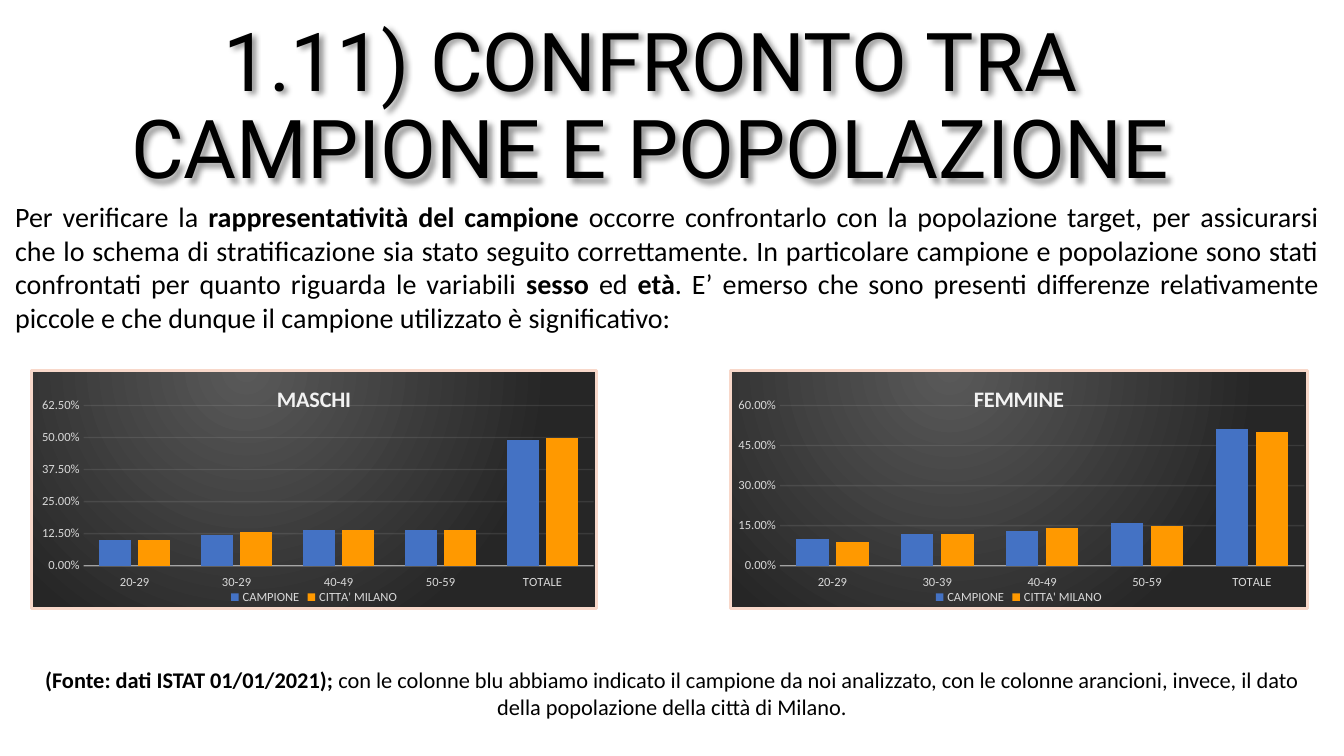
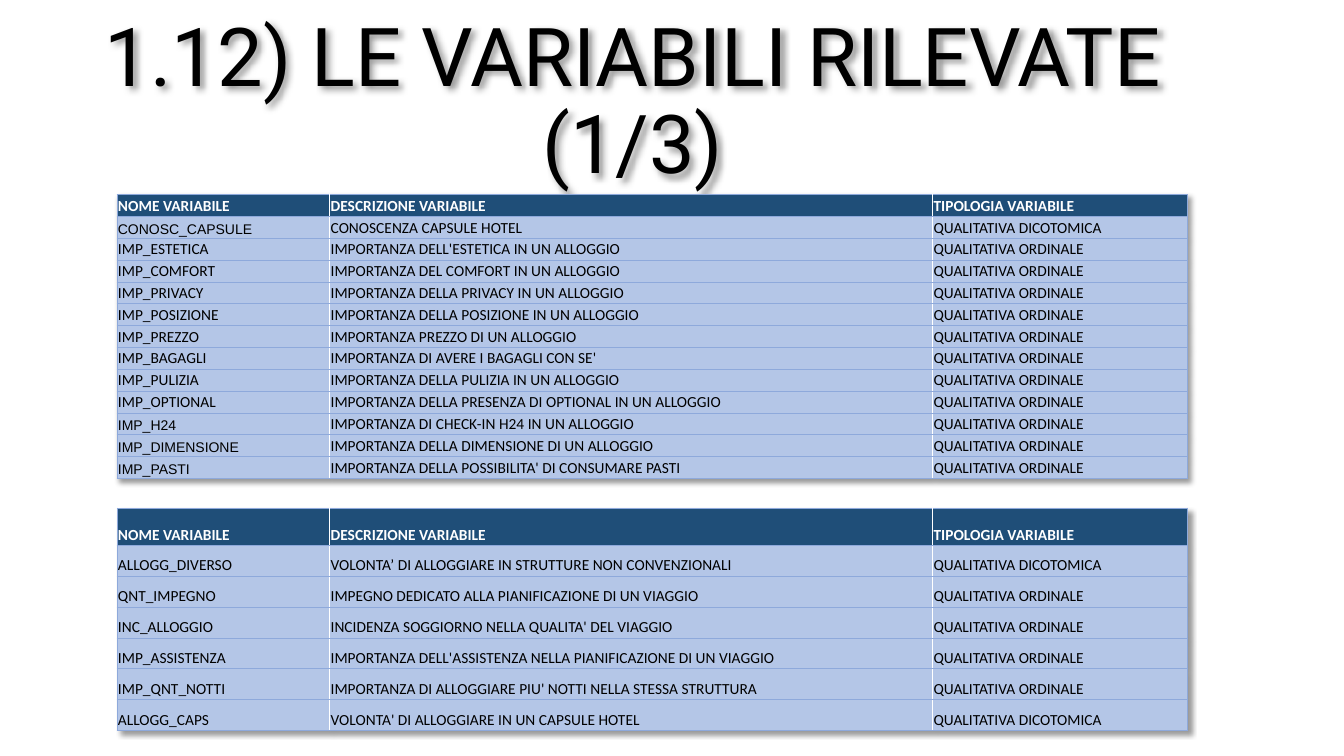
import dataclasses

import pptx
import pptx.chart.data
import pptx.dml.color
import pptx.enum.chart
import pptx.enum.text
import pptx.oxml
import pptx.oxml.ns
import pptx.util

Inches = pptx.util.Inches
Pt = pptx.util.Pt
ALIGN = pptx.enum.text.PP_ALIGN
ANCHOR = pptx.enum.text.MSO_ANCHOR
FIT = pptx.enum.text.MSO_AUTO_SIZE
TICK = pptx.enum.chart.XL_TICK_MARK


@dataclasses.dataclass(frozen=True)
class Theme:
    black: str = "000000"
    white: str = "FFFFFF"
    pale: str = "F2F2F2"
    label: str = "D9D9D9"
    glow: str = "595959"
    dark: str = "262626"
    frame: str = "F8D8CA"
    blue: str = "4472C4"
    orange: str = "FF9900"
    head: str = "1F4E78"
    cell: str = "B4C6E7"
    rule: str = "8EA9DB"
    display: str = "Roboto"
    body: str = "Calibri"
    code: str = "Arial"
    title_size: int = 58
    text_size: int = 20
    note_size: int = 16
    chart_size: int = 10
    axis_size: int = 9
    cell_size: int = 11
    code_size: int = 10


T = Theme()

# Content

TITLES = [
    ("1.11) CONFRONTO TRA CAMPIONE E POPOLAZIONE", (0.05, 0, 12.8, 2)),
    ("1.12) LE VARIABILI RILEVATE (1/3)", (0.77, 0.94, 11.01, 1.01)),
]

# Runs are (text, bold)
INTRO = [
    ("Per verificare la ", False),
    ("rappresentatività del campione ", True),
    ("occorre confrontarlo con la popolazione target, per assicurarsi che lo "
     "schema di stratificazione sia stato seguito correttamente. In particolare "
     "campione e popolazione sono stati confrontati per quanto riguarda le "
     "variabili ", False),
    ("sesso ", True),
    ("ed ", False),
    ("età", True),
    (". E’ emerso che sono presenti differenze relativamente piccole e che "
     "dunque il campione utilizzato è significativo:", False),
]
SOURCE = [
    ("(Fonte: dati ISTAT 01/01/2021); ", True),
    ("con le colonne blu abbiamo indicato il campione da noi analizzato, con le "
     "colonne arancioni, invece, il dato della popolazione della città di "
     "Milano.", False),
]

SERIES = [("CAMPIONE", T.blue), ("CITTA' MILANO", T.orange)]
CHARTS = [
    dict(title="MASCHI", box=(0.3, 3.66, 5.63, 2.39), step=0.125, top=0.625,
         plot=(0.092, 0.148, 0.903, 0.673),
         cats=["20-29", "30-29", "40-49", "50-59", "TOTALE"],
         values=[(0.1, 0.12, 0.14, 0.14, 0.49), (0.1, 0.13, 0.14, 0.14, 0.5)]),
    dict(title="FEMMINE", box=(7.23, 3.66, 5.75, 2.39), step=0.15, top=0.6,
         plot=(0.086, 0.148, 0.909, 0.673),
         cats=["20-29", "30-39", "40-49", "50-59", "TOTALE"],
         values=[(0.1, 0.12, 0.13, 0.16, 0.51), (0.09, 0.12, 0.14, 0.15, 0.5)]),
]

HEADS = ("NOME VARIABILE", "DESCRIZIONE VARIABILE", "TIPOLOGIA VARIABILE")
ORD = "QUALITATIVA ORDINALE"
DIC = "QUALITATIVA DICOTOMICA"
RATINGS = [
    ("CONOSC_CAPSULE", "CONOSCENZA CAPSULE HOTEL", DIC),
    ("IMP_ESTETICA", "IMPORTANZA DELL'ESTETICA IN UN ALLOGGIO", ORD),
    ("IMP_COMFORT", "IMPORTANZA DEL COMFORT IN UN ALLOGGIO", ORD),
    ("IMP_PRIVACY", "IMPORTANZA DELLA PRIVACY IN UN ALLOGGIO", ORD),
    ("IMP_POSIZIONE", "IMPORTANZA DELLA POSIZIONE IN UN ALLOGGIO", ORD),
    ("IMP_PREZZO", "IMPORTANZA PREZZO DI UN ALLOGGIO", ORD),
    ("IMP_BAGAGLI", "IMPORTANZA DI AVERE I BAGAGLI CON SE'", ORD),
    ("IMP_PULIZIA", "IMPORTANZA DELLA PULIZIA IN UN ALLOGGIO", ORD),
    ("IMP_OPTIONAL", "IMPORTANZA DELLA PRESENZA DI OPTIONAL IN UN ALLOGGIO", ORD),
    ("IMP_H24", "IMPORTANZA DI CHECK-IN H24 IN UN ALLOGGIO", ORD),
    ("IMP_DIMENSIONE", "IMPORTANZA DELLA DIMENSIONE DI UN ALLOGGIO", ORD),
    ("IMP_PASTI", "IMPORTANZA DELLA POSSIBILITA' DI CONSUMARE PASTI", ORD),
]
HABITS = [
    ("ALLOGG_DIVERSO", "VOLONTA’ DI ALLOGGIARE IN STRUTTURE NON CONVENZIONALI", DIC),
    ("QNT_IMPEGNO", "IMPEGNO DEDICATO ALLA PIANIFICAZIONE DI UN VIAGGIO", ORD),
    ("INC_ALLOGGIO", "INCIDENZA SOGGIORNO NELLA QUALITA' DEL VIAGGIO", ORD),
    ("IMP_ASSISTENZA",
     "IMPORTANZA DELL'ASSISTENZA NELLA PIANIFICAZIONE DI UN VIAGGIO", ORD),
    ("IMP_QNT_NOTTI",
     "IMPORTANZA DI ALLOGGIARE PIU' NOTTI NELLA STESSA STRUTTURA", ORD),
    ("ALLOGG_CAPS", "VOLONTA' DI ALLOGGIARE IN UN CAPSULE HOTEL", DIC),
]
ARIAL = {"CONOSC_CAPSULE", "IMP_H24", "IMP_DIMENSIONE", "IMP_PASTI"}
COLS = (2.11, 5.98, 2.53)
# Rows, top, total height, height of the head row
TABLES = [(RATINGS, 1.93, 2.82, 0.217), (HABITS, 5.04, 2.21, 0.37)]
TABLE_LEFT = 1.16


# Helpers

def rgb(code):
    return pptx.dml.color.RGBColor.from_string(code)


def node(text):
    """Make an XML element; the first tag gets the namespaces."""
    spot = min(i for i in (text.find(" "), text.find(">"), text.find("/>")) if i > 0)
    names = pptx.oxml.ns.nsdecls("a", "c")
    return pptx.oxml.parse_xml(f"{text[:spot]} {names}{text[spot:]}")


def paint(code):
    return f'<a:solidFill><a:srgbClr val="{code}"/></a:solidFill>'


def shade():
    return node('<a:effectLst><a:outerShdw blurRad="50800" dist="38100" '
                'dir="2700000" algn="tl" rotWithShape="0"><a:prstClr val="black">'
                '<a:alpha val="40000"/></a:prstClr></a:outerShdw></a:effectLst>')


def style(font, size, color, face=T.body, bold=False):
    font.size, font.name, font.bold = Pt(size), face, bold
    font.color.rgb = rgb(color)


def write(para, runs, size, color=T.black, face=T.body):
    for text, bold in runs:
        run = para.add_run()
        run.text = text
        style(run.font, size, color, face, bold)


def pad(frame, size):
    frame.margin_left = frame.margin_right = Inches(size)
    frame.margin_top = frame.margin_bottom = Inches(size)


def new_slide(deck, text, box):
    slide = deck.slides.add_slide(deck.slide_layouts.get_by_name("Title Only"))
    title = slide.shapes.title
    title.left, title.top, title.width, title.height = map(Inches, box)
    frame = title.text_frame
    frame.word_wrap, frame.auto_size = True, FIT.NONE
    frame.vertical_anchor = ANCHOR.BOTTOM
    pad(frame, 0.05)
    para = frame.paragraphs[0]
    para.alignment, para.line_spacing = ALIGN.CENTER, 0.9
    write(para, [(text, False)], T.title_size, face=T.display)
    title.element.spPr.append(shade())
    return slide


def add_text(slide, box, runs, size, align):
    frame = slide.shapes.add_textbox(*map(Inches, box)).text_frame
    frame.word_wrap, frame.auto_size = True, FIT.SHAPE_TO_FIT_TEXT
    pad(frame, 0.05)
    frame.paragraphs[0].alignment = align
    write(frame.paragraphs[0], runs, size)


def fade(root, where, part):
    """Set the opacity, in percent, of the line colour found at a place."""
    for color in root.xpath(f".//{where}/c:spPr/a:ln//a:srgbClr"):
        color.append(node(f'<a:alpha val="{part * 1000}"/>'))


def dress(root, plot):
    """Give a chart its backdrop, frame and fixed plot area."""
    stops = "".join(f'<a:gs pos="{at}"><a:srgbClr val="{code}"/></a:gs>'
                    for at, code in ((0, T.glow), (100000, T.dark)))
    back = node(f'<c:spPr><a:gradFill><a:gsLst>{stops}</a:gsLst>'
                '<a:path path="circle"><a:fillToRect l="38000" t="-20000" '
                'r="62000" b="120000"/></a:path></a:gradFill>'
                f'<a:ln w="{Pt(2)}">{paint(T.frame)}</a:ln></c:spPr>')
    root.xpath("./c:txPr")[0].addprevious(back)
    area = root.xpath(".//c:plotArea")[0]
    for old in area.xpath("./c:layout"):
        area.remove(old)
    sides = "".join(f'<c:{tag} val="{value}"/>' for tag, value in zip("xywh", plot))
    area.insert(0, node('<c:layout><c:manualLayout><c:layoutTarget val="inner"/>'
                        '<c:xMode val="edge"/><c:yMode val="edge"/>'
                        f'{sides}</c:manualLayout></c:layout>'))


def add_chart(slide, spec):
    data = pptx.chart.data.CategoryChartData(number_format="0.00%")
    data.categories = spec["cats"]
    for (name, _), values in zip(SERIES, spec["values"]):
        data.add_series(name, values)
    kind = pptx.enum.chart.XL_CHART_TYPE.COLUMN_CLUSTERED
    chart = slide.shapes.add_chart(kind, *map(Inches, spec["box"]), data).chart
    style(chart.font, T.chart_size, T.black)

    chart.has_title = True
    write(chart.chart_title.text_frame.paragraphs[0], [(spec["title"], True)],
          T.note_size, T.pale)
    chart.has_legend = True
    chart.legend.position = pptx.enum.chart.XL_LEGEND_POSITION.BOTTOM
    chart.legend.include_in_layout = True
    style(chart.legend.font, T.axis_size, T.label)

    plot = chart.plots[0]
    plot.gap_width, plot.overlap, plot.vary_by_categories = 100, -24, False
    for series, (_, color) in zip(plot.series, SERIES):
        series.format.fill.solid()
        series.format.fill.fore_color.rgb = rgb(color)
        series.invert_if_negative = False

    cat, val = chart.category_axis, chart.value_axis
    for axis in (cat, val):
        axis.major_tick_mark = axis.minor_tick_mark = TICK.NONE
        style(axis.tick_labels.font, T.axis_size, T.label)
    cat.tick_label_position = pptx.enum.chart.XL_TICK_LABEL_POSITION.LOW
    val.minimum_scale, val.maximum_scale = 0, spec["top"]
    val.major_unit = spec["step"]
    val.tick_labels.number_format = "0.00%"
    val.tick_labels.number_format_is_linked = False
    val.format.line.fill.background()
    val.has_major_gridlines = True
    for line in (cat.format.line, val.major_gridlines.format.line):
        line.width = Pt(1)
        line.color.rgb = rgb(T.pale)

    root = chart.element
    fade(root, "c:catAx", 54)
    fade(root, "c:majorGridlines", 10)
    for flag in root.xpath(".//c:title/c:overlay"):
        flag.set("val", "1")
    dress(root, spec["plot"])


def edge(cell, col):
    """Rule the cell in blue, with white lines between columns."""
    left = T.rule if col == 0 else T.white
    right = T.rule if col == len(COLS) - 1 else T.white
    sides = (("L", left), ("R", right), ("T", T.rule), ("B", T.rule))
    props = cell._tc.get_or_add_tcPr()
    for spot, (side, color) in enumerate(sides):
        props.insert(spot, node(f'<a:ln{side} w="{Pt(0.5)}">{paint(color)}</a:ln{side}>'))


def add_table(slide, rows, top, height, first):
    rows = [HEADS] + rows
    shape = slide.shapes.add_table(len(rows), len(COLS), Inches(TABLE_LEFT),
                                   Inches(top), Inches(sum(COLS)), Inches(height))
    table = shape.table
    table.horz_banding = False
    shape.element.xpath(".//a:tblPr")[0].insert(0, shade())
    for col, width in zip(table.columns, COLS):
        col.width = Inches(width)
    rest = (height - first) / (len(rows) - 1)
    for i, row in enumerate(rows):
        table.rows[i].height = Inches(rest if i else first)
        for j, text in enumerate(row):
            cell = table.cell(i, j)
            pad(cell, 0.01)
            cell.vertical_anchor = ANCHOR.BOTTOM
            cell.fill.solid()
            cell.fill.fore_color.rgb = rgb(T.cell if i else T.head)
            size, face = (T.code_size, T.code) if text in ARIAL else (T.cell_size, T.body)
            write(cell.text_frame.paragraphs[0], [(text, i == 0)], size,
                  T.black if i else T.white, face)
            edge(cell, j)


def main():
    deck = pptx.Presentation()
    deck.slide_width, deck.slide_height = Inches(13.33), Inches(7.5)

    match = new_slide(deck, *TITLES[0])
    for spec in CHARTS:
        add_chart(match, spec)
    add_text(match, (0.1, 1.93, 13.03, 1.43), INTRO, T.text_size, ALIGN.JUSTIFY)
    add_text(match, (0.31, 6.56, 12.71, 0.63), SOURCE, T.note_size, ALIGN.CENTER)

    items = new_slide(deck, *TITLES[1])
    for table in TABLES:
        add_table(items, *table)

    deck.save("out.pptx")


if __name__ == "__main__":
    main()
